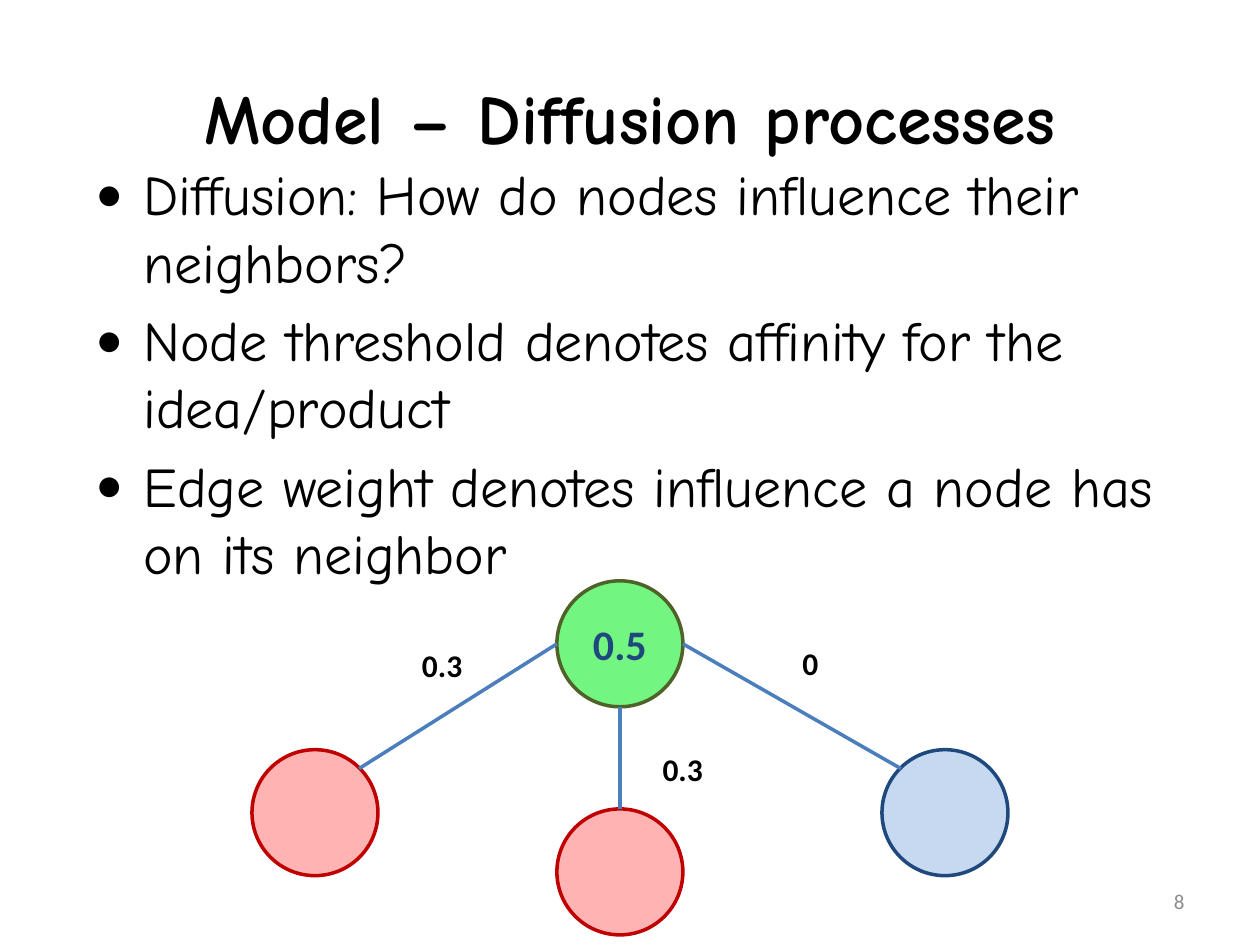
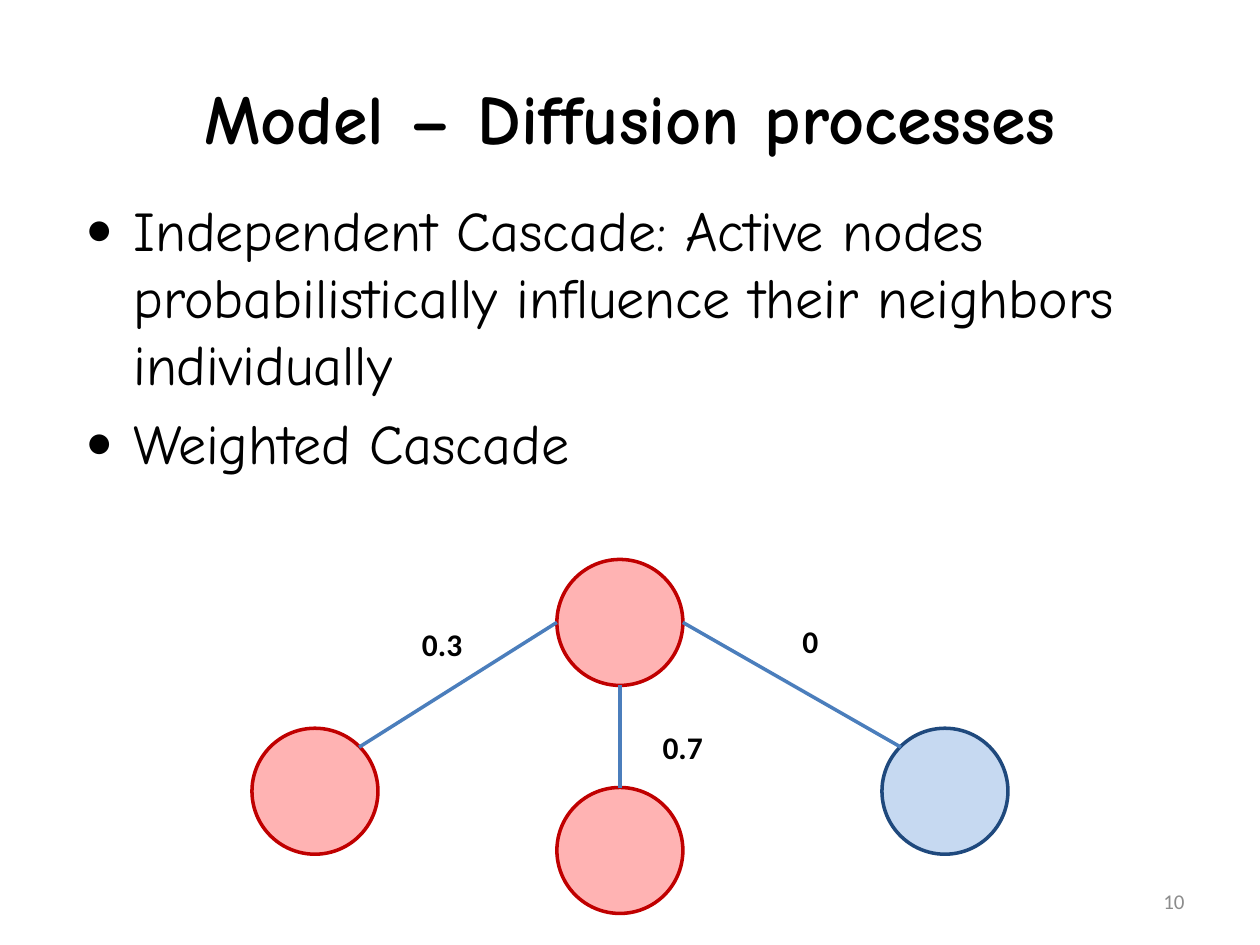
from lxml.etree import SubElement
from pptx import Presentation
from pptx.dml.color import RGBColor
from pptx.enum.shapes import MSO_CONNECTOR, MSO_SHAPE
from pptx.enum.text import MSO_ANCHOR, MSO_AUTO_SIZE, PP_ALIGN
from pptx.oxml.ns import qn
from pptx.util import Inches, Pt

BLACK = RGBColor(0x00, 0x00, 0x00)
GREY = RGBColor(0x8C, 0x8C, 0x8C)
NAVY = RGBColor(0x1F, 0x49, 0x7D)
EDGE_BLUE = RGBColor(0x4B, 0x7E, 0xBC)
ACTIVE = (RGBColor(0xFF, 0xB3, 0xB3), RGBColor(0xC0, 0x00, 0x00))
INACTIVE = (RGBColor(0xC6, 0xD9, 0xF1), NAVY)
THRESHOLD = (RGBColor(0x73, 0xF5, 0x82), RGBColor(0x4F, 0x62, 0x28))

HEADING_FONT = "Comic Neue"
PLAIN_FONT = "Calibri"
TITLE = "Model – Diffusion processes"
NODE_SIZE = 1
ROOT_LEFT = 4.42


def style_paragraph(para, size, font, color, bold=False, align=PP_ALIGN.LEFT):
    """Format every run of a paragraph and align it."""
    para.alignment = align
    for span in para.runs:
        span.font.size = Pt(size)
        span.font.name = font
        span.font.bold = bold
        span.font.color.rgb = color


def add_text(page, area, text, size, font, color, bold=False,
             align=PP_ALIGN.LEFT, anchor=MSO_ANCHOR.TOP, wrap=True):
    """Add a text box whose paragraphs share one style."""
    box = page.shapes.add_textbox(*map(Inches, area))
    frame = box.text_frame
    frame.text = text
    frame.word_wrap = wrap
    frame.vertical_anchor = anchor
    for para in frame.paragraphs:
        style_paragraph(para, size, font, color, bold, align)
    return box


def add_bullets(page, left, top, items):
    """Add the bulleted body text."""
    box = add_text(page, (left, top, 9, 5.58), "\n".join(items), 32, HEADING_FONT, BLACK)
    for para in box.text_frame.paragraphs:
        para.space_before = Pt(6.4)
        properties = para._p.get_or_add_pPr()
        properties.set("marL", str(Inches(0.38)))
        properties.set("indent", str(Inches(-0.38)))
        SubElement(properties, qn("a:buFont")).set("typeface", PLAIN_FONT)
        SubElement(properties, qn("a:buChar")).set("char", "•")


def add_node(page, left, top, colors, text=""):
    """Add a round network node, with its threshold if it has one."""
    fill, outline = colors
    node = page.shapes.add_shape(
        MSO_SHAPE.OVAL, *map(Inches, (left, top, NODE_SIZE, NODE_SIZE)))
    node.shadow.inherit = False
    node.fill.solid()
    node.fill.fore_color.rgb = fill
    node.line.color.rgb = outline
    node.line.width = Pt(2)
    if text:
        node.text_frame.text = text
        node.text_frame.vertical_anchor = MSO_ANCHOR.MIDDLE
        style_paragraph(node.text_frame.paragraphs[0], 24, PLAIN_FONT, NAVY, True,
                        PP_ALIGN.CENTER)


def add_edge(page, start, end):
    """Add a straight edge between two points."""
    edge = page.shapes.add_connector(MSO_CONNECTOR.STRAIGHT, *map(Inches, start + end))
    edge.line.color.rgb = EDGE_BLUE
    edge.line.width = Pt(2)
    SubElement(edge._element.spPr, qn("a:effectLst"))


def add_weight(page, left, top, width, text):
    """Add the weight label of an edge."""
    box = add_text(page, (left, top, width, 0.4), text, 18, PLAIN_FONT, BLACK,
                   bold=True, wrap=False)
    box.text_frame.auto_size = MSO_AUTO_SIZE.SHAPE_TO_FIT_TEXT


def add_network(page, top, root_colors, middle_weight, threshold=""):
    """Add a root node with three weighted neighbors below it."""
    side_top, middle_top = top + 1.34, top + 1.81
    root_middle = top + NODE_SIZE / 2
    root_center = ROOT_LEFT + NODE_SIZE / 2
    add_node(page, ROOT_LEFT, top, root_colors, threshold)
    add_node(page, 7, side_top, INACTIVE)
    add_node(page, ROOT_LEFT, middle_top, ACTIVE)
    add_node(page, 2, side_top, ACTIVE)

    add_edge(page, (2.85, side_top + 0.15), (ROOT_LEFT, root_middle))
    add_edge(page, (root_center, middle_top), (root_center, top + NODE_SIZE))
    add_edge(page, (7.15, side_top + 0.15), (ROOT_LEFT + NODE_SIZE, root_middle))

    add_weight(page, 3.25, top + 0.47, 0.52, "0.3")
    add_weight(page, 5.16, top + 1.29, 0.52, middle_weight)
    add_weight(page, 6.27, top + 0.45, 0.33, "0")


def add_page(deck, number):
    """Add a blank page with the shared title and its page number."""
    page = deck.slides.add_slide(deck.slide_layouts[6])
    add_text(page, (0.5, 0.3, 9, 1.25), TITLE, 40, HEADING_FONT, BLACK,
             bold=True, align=PP_ALIGN.CENTER, anchor=MSO_ANCHOR.MIDDLE)
    add_text(page, (7.17, 6.95, 2.33, 0.4), number, 12, PLAIN_FONT, GREY,
             align=PP_ALIGN.RIGHT, anchor=MSO_ANCHOR.MIDDLE)
    return page


def main():
    """Build both pages and save the deck."""
    deck = Presentation()
    deck.slide_width, deck.slide_height = Inches(10), Inches(7.5)

    page = add_page(deck, "8")
    add_bullets(page, 0.66, 1.22, [
        "Diffusion: How do nodes influence their neighbors?",
        "Node threshold denotes affinity for the idea/product",
        "Edge weight denotes influence a node has on its neighbor",
    ])
    add_network(page, 4.61, THRESHOLD, "0.3", threshold="0.5")

    page = add_page(deck, "10")
    add_bullets(page, 0.58, 1.5, [
        "Independent Cascade: Active nodes probabilistically influence "
        "their neighbors individually",
        "Weighted Cascade",
    ])
    add_network(page, 4.44, ACTIVE, "0.7")

    deck.save("out.pptx")


if __name__ == "__main__":
    main()
